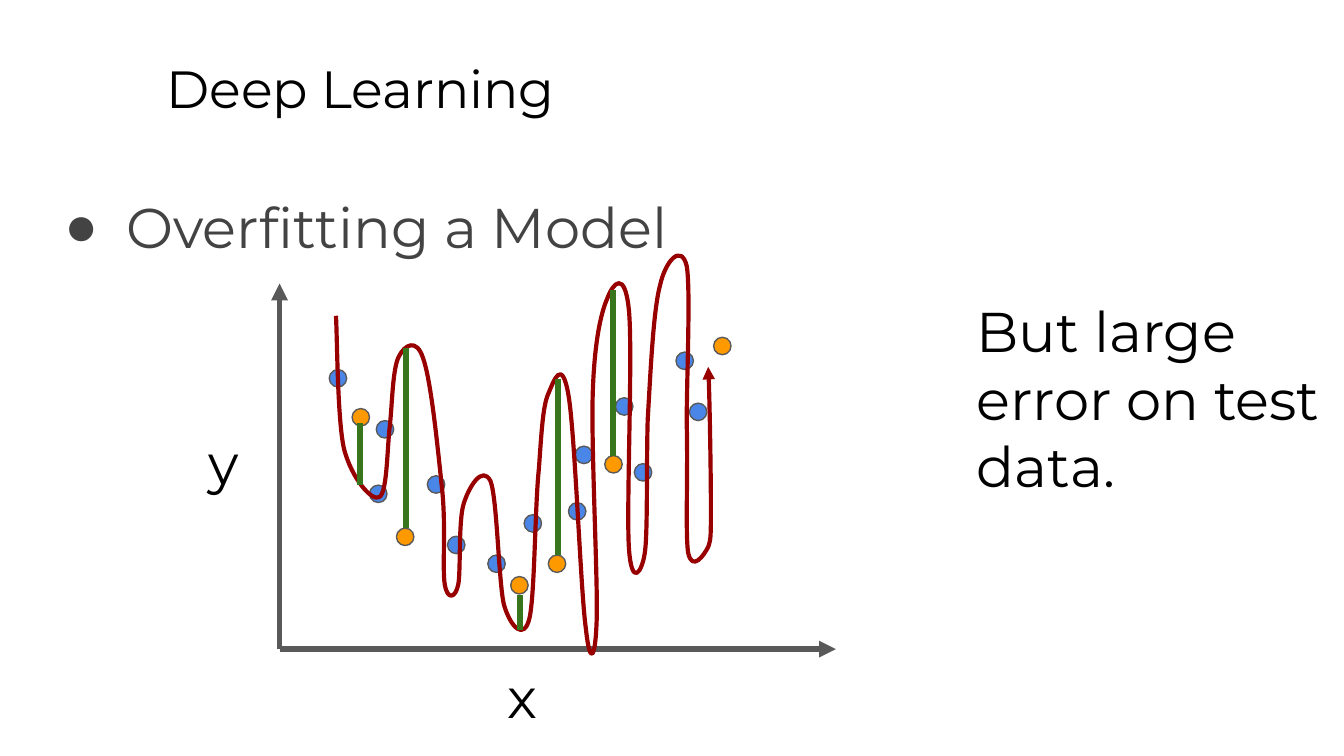
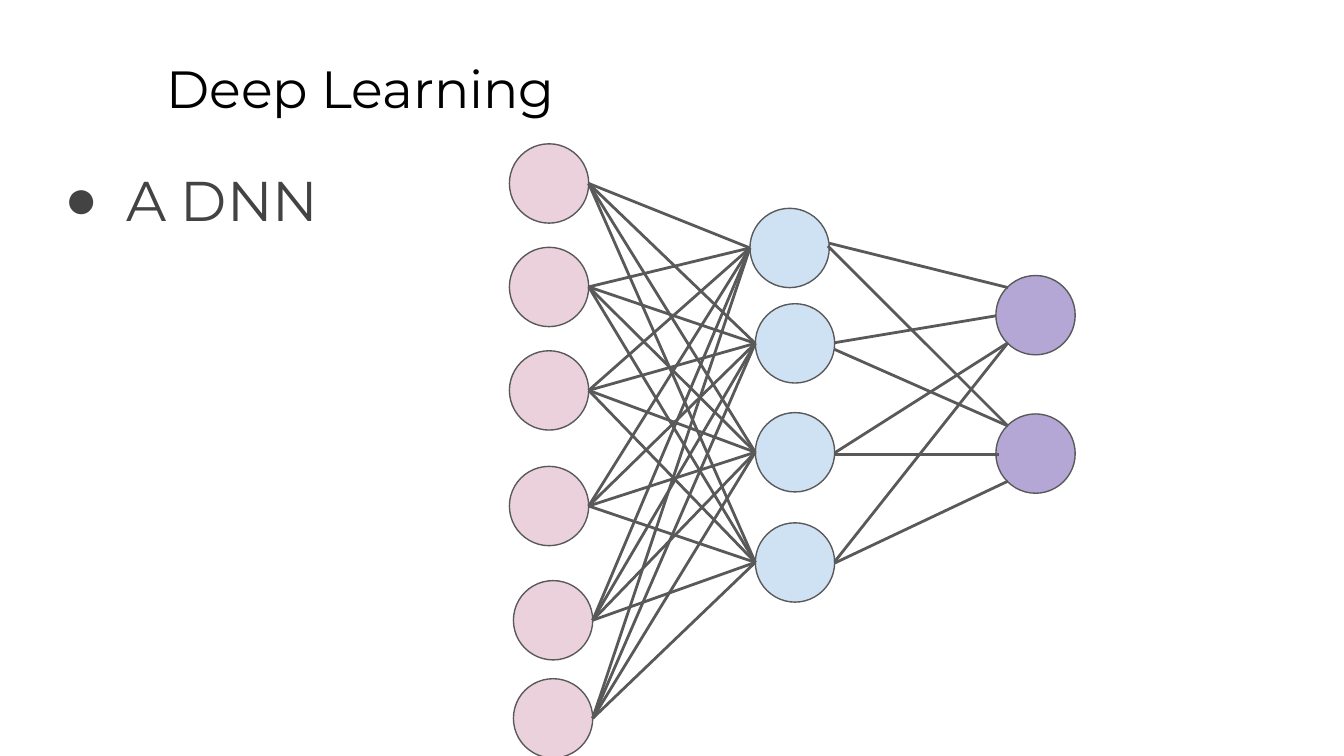
"""Build two deep learning slides: an overfitted curve and a small network."""
from dataclasses import dataclass
from itertools import product

from lxml.etree import SubElement
from pptx import Presentation
from pptx.dml.color import RGBColor
from pptx.enum.shapes import MSO_CONNECTOR, MSO_SHAPE
from pptx.oxml.ns import qn
from pptx.shapes.autoshape import Shape
from pptx.slide import Slide
from pptx.util import Inches, Pt

FONT = "Montserrat"
HUES = {
    "black": "000000",
    "text": "434343",
    "line": "595959",
    "train": "4A86E8",
    "test": "FF9900",
    "curve": "980000",
    "error": "38761D",
    "input": "EAD1DC",
    "hidden": "CFE2F3",
    "output": "B4A7D6",
}
DOT = 0.13
NODE = 0.59


@dataclass(frozen=True)
class Label:
    text: str
    left: float
    top: float
    width: float
    height: float
    size: int = 30
    hue: str = "black"
    bullet: bool = False


@dataclass(frozen=True)
class Disc:
    left: float
    top: float
    size: float
    hue: str


@dataclass(frozen=True)
class Wire:
    x1: float
    y1: float
    x2: float
    y2: float
    hue: str = "line"
    weight: float = 1.5
    arrow: bool = False


TITLE = Label("Deep Learning", 1.14, 0.32, 8.52, 0.63, size=28)

TRAIN = [
    (2.45, 2.75), (2.8, 3.13), (2.75, 3.61), (3.18, 3.54), (3.33, 3.99),
    (3.63, 4.13), (4.23, 3.74), (3.9, 3.83), (4.28, 3.32), (4.72, 3.45),
    (4.58, 2.96), (5.13, 3), (5.03, 2.62),
]
TEST = [(2.62, 3.04), (2.95, 3.93), (3.8, 4.29), (4.08, 4.13), (4.5, 3.39), (5.31, 2.51)]
ERRORS = [(2.68, 3.15, 3.61), (3.02, 2.59, 3.93), (4.15, 2.82, 4.13),
          (4.56, 2.16, 3.39), (3.87, 4.43, 4.69)]
AXES = [Wire(2.08, 2.11, 2.08, 4.83, weight=3, arrow=True),
        Wire(6.22, 4.83, 2.08, 4.83, weight=3, arrow=True)]

CURVE_BOX = (2.5, 1.9, 5.3, 4.87)
CURVE_START = (2.5, 2.35)
CURVE = [
    ((2.51, 2.51), (2.51, 3.12), (2.56, 3.34)),
    ((2.62, 3.57), (2.77, 3.73), (2.82, 3.7)),
    ((2.88, 3.68), (2.88, 3.36), (2.9, 3.18)),
    ((2.92, 3.01), (2.92, 2.74), (2.97, 2.65)),
    ((3.01, 2.57), (3.1, 2.51), (3.15, 2.67)),
    ((3.21, 2.84), (3.26, 3.36), (3.29, 3.64)),
    ((3.32, 3.92), (3.29, 4.23), (3.31, 4.35)),
    ((3.33, 4.47), (3.39, 4.45), (3.41, 4.35)),
    ((3.43, 4.25), (3.41, 3.88), (3.45, 3.75)),
    ((3.49, 3.62), (3.59, 3.46), (3.65, 3.58)),
    ((3.7, 3.71), (3.71, 4.33), (3.75, 4.5)),
    ((3.8, 4.67), (3.9, 4.77), (3.94, 4.6)),
    ((3.98, 4.43), (3.98, 3.77), (4.01, 3.49)),
    ((4.03, 3.21), (4.04, 3.02), (4.08, 2.93)),
    ((4.12, 2.84), (4.18, 2.65), (4.23, 2.94)),
    ((4.28, 3.23), (4.32, 4.4), (4.36, 4.68)),
    ((4.39, 4.96), (4.43, 4.91), (4.44, 4.62)),
    ((4.45, 4.34), (4.4, 3.37), (4.41, 2.96)),
    ((4.42, 2.56), (4.47, 2.33), (4.52, 2.22)),
    ((4.56, 2.11), (4.65, 2), (4.68, 2.31)),
    ((4.71, 2.62), (4.66, 3.78), (4.68, 4.08)),
    ((4.7, 4.38), (4.78, 4.26), (4.8, 4.1)),
    ((4.82, 3.94), (4.81, 3.45), (4.82, 3.12)),
    ((4.84, 2.79), (4.86, 2.32), (4.91, 2.13)),
    ((4.95, 1.94), (5.07, 1.81), (5.11, 1.98)),
    ((5.14, 2.15), (5.11, 2.8), (5.11, 3.15)),
    ((5.12, 3.51), (5.1, 3.96), (5.12, 4.11)),
    ((5.15, 4.26), (5.24, 4.13), (5.27, 4.07)),
    ((5.29, 4.01), (5.29, 4), (5.29, 3.77)),
    ((5.29, 3.55), (5.28, 2.9), (5.27, 2.73)),
]

LAYERS = {
    "input": [(3.79, 1.07), (3.79, 1.84), (3.79, 2.61), (3.79, 3.47), (3.82, 4.32), (3.82, 5.05)],
    "hidden": [(5.58, 1.55), (5.62, 2.26), (5.62, 3.07), (5.62, 3.89)],
    "output": [(7.41, 2.05), (7.41, 3.08)],
}
OUT_WIRES = [
    Wire(7.5, 2.14, 6.17, 1.81), Wire(7.5, 3.17, 6.16, 1.83),
    Wire(7.41, 2.35, 6.21, 2.55), Wire(7.5, 3.17, 6.21, 2.6),
    Wire(7.5, 2.55, 6.21, 3.37), Wire(7.43, 3.38, 6.21, 3.38),
    Wire(7.5, 2.55, 6.21, 4.18), Wire(7.5, 3.58, 6.21, 4.19),
]


def tint(hue: str) -> RGBColor:
    return RGBColor.from_string(HUES[hue])


def add_label(slide: Slide, label: Label) -> None:
    box = slide.shapes.add_textbox(Inches(label.left), Inches(label.top),
                                   Inches(label.width), Inches(label.height))
    frame = box.text_frame
    frame.word_wrap = True
    frame.margin_left = frame.margin_right = Inches(0.1)
    frame.margin_top = frame.margin_bottom = Inches(0.1)
    para = frame.paragraphs[0]
    run = para.add_run()
    run.text = label.text
    run.font.name = FONT
    run.font.size = Pt(label.size)
    run.font.color.rgb = tint(label.hue)
    if label.bullet:
        para.line_spacing = 1.15
        props = para._p.get_or_add_pPr()
        props.set("marL", str(Inches(0.5)))
        props.set("indent", str(Inches(-0.46)))
        color = SubElement(props, qn("a:buClr"))
        SubElement(color, qn("a:srgbClr"), val=HUES[label.hue])
        SubElement(props, qn("a:buFont"), typeface="Arial")
        SubElement(props, qn("a:buChar"), char="●")


def add_disc(slide: Slide, disc: Disc) -> None:
    size = Inches(disc.size)
    shape = slide.shapes.add_shape(MSO_SHAPE.OVAL, Inches(disc.left), Inches(disc.top), size, size)
    shape.shadow.inherit = False
    shape.fill.solid()
    shape.fill.fore_color.rgb = tint(disc.hue)
    shape.line.color.rgb = tint("line")
    shape.line.width = Pt(0.75)


def add_wire(slide: Slide, wire: Wire) -> None:
    line = slide.shapes.add_connector(MSO_CONNECTOR.STRAIGHT, Inches(wire.x1), Inches(wire.y1),
                                      Inches(wire.x2), Inches(wire.y2))
    line.line.color.rgb = tint(wire.hue)
    line.line.width = Pt(wire.weight)
    props = line.element.spPr
    if wire.arrow:
        SubElement(props.find(qn("a:ln")), qn("a:headEnd"), type="triangle")
    SubElement(props, qn("a:effectLst"))


def add_curve(slide: Slide) -> Shape:
    left, top, right, base = CURVE_BOX
    maker = slide.shapes.build_freeform(Inches(left), Inches(top))
    maker.add_line_segments([(Inches(right), Inches(base))], close=False)
    shape = maker.convert_to_shape()
    shape.shadow.inherit = False
    shape.fill.background()
    shape.line.color.rgb = tint("curve")
    shape.line.width = Pt(2.25)
    props = shape.element.spPr
    SubElement(props.find(qn("a:ln")), qn("a:tailEnd"), type="triangle")
    trace = next(props.iter(qn("a:path")))
    for part in list(trace):
        trace.remove(part)
    parts = [("a:moveTo", [CURVE_START])] + [("a:cubicBezTo", bend) for bend in CURVE]
    for tag, points in parts:
        part = SubElement(trace, qn(tag))
        for x, y in points:
            SubElement(part, qn("a:pt"), x=str(Inches(x - left)), y=str(Inches(y - top)))
    return shape


def draw_fit(slide: Slide) -> None:
    add_label(slide, TITLE)
    add_label(slide, Label("Overfitting a Model", 0.34, 1.26, 9.57, 0.56, hue="text", bullet=True))
    for axis in AXES:
        add_wire(slide, axis)
    for x, y in TRAIN:
        add_disc(slide, Disc(x, y, DOT, "train"))
    add_label(slide, Label("y", 1.45, 3.09, 0.82, 0.73))
    add_label(slide, Label("x", 3.68, 4.83, 0.82, 0.73))
    add_curve(slide)
    for x, y in TEST:
        add_disc(slide, Disc(x, y, DOT, "test"))
    for x, top, base in ERRORS:
        add_wire(slide, Wire(x, top, x, base, "error", 3))
    add_label(slide, Label("But large error on test data.", 7.17, 2.11, 2.77, 1.65))


def draw_net(slide: Slide) -> None:
    add_label(slide, TITLE)
    add_label(slide, Label("A DNN", 0.34, 1.06, 3.14, 0.68, hue="text", bullet=True))
    for hue, spots in LAYERS.items():
        for x, y in spots:
            add_disc(slide, Disc(x, y, NODE, hue))
    for (x1, y1), (x2, y2) in product(LAYERS["hidden"], LAYERS["input"]):
        add_wire(slide, Wire(x1, y1 + NODE / 2, x2 + NODE, y2 + NODE / 2))
    for wire in OUT_WIRES:
        add_wire(slide, wire)


def main() -> None:
    deck = Presentation()
    deck.slide_width = Inches(10)
    deck.slide_height = Inches(10 * 9 / 16)
    for draw in (draw_fit, draw_net):
        draw(deck.slides.add_slide(deck.slide_layouts[6]))
    deck.save("out.pptx")


if __name__ == "__main__":
    main()
